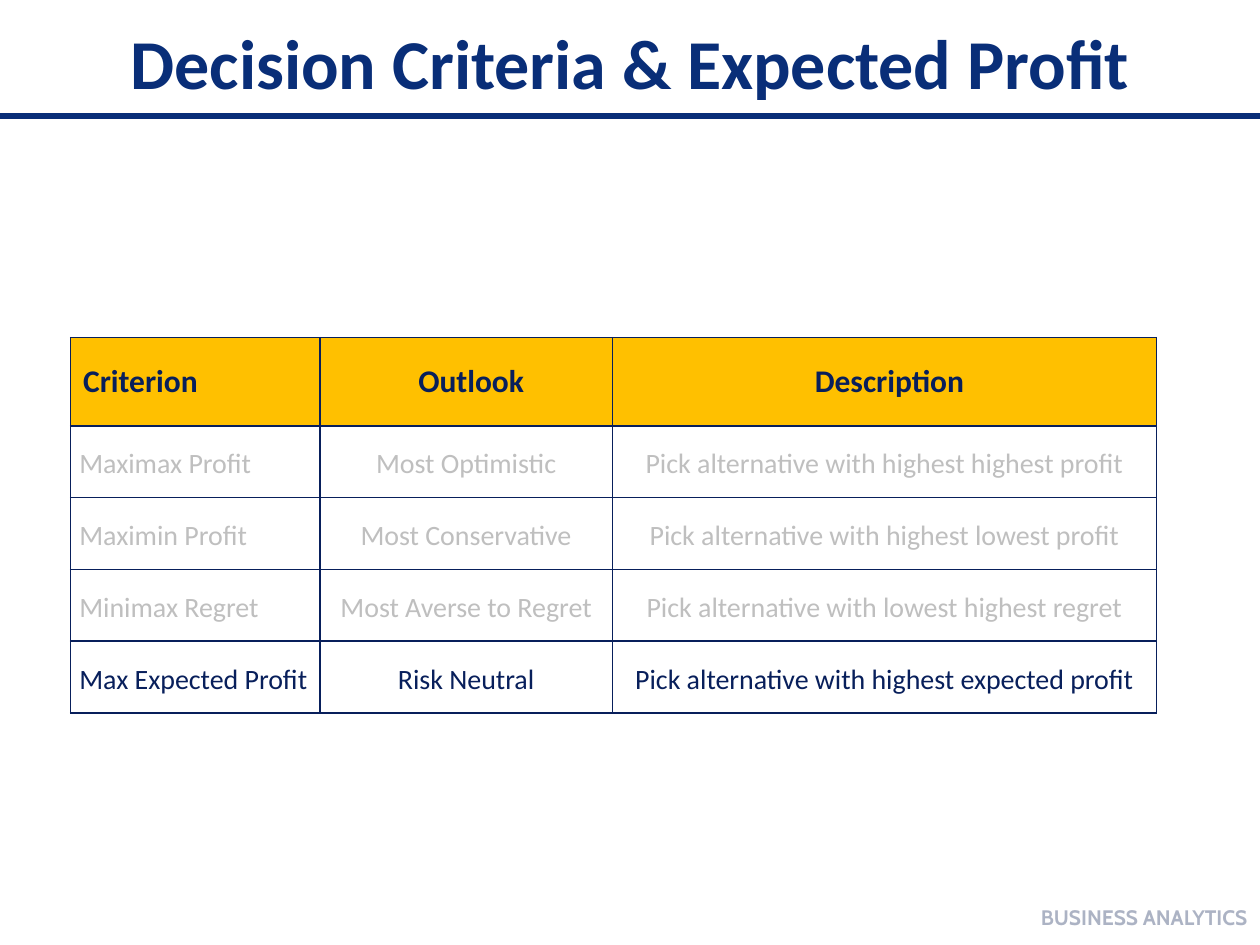
from lxml.etree import SubElement
from pptx import Presentation
from pptx.dml.color import RGBColor
from pptx.enum.shapes import MSO_CONNECTOR
from pptx.enum.text import MSO_ANCHOR, PP_ALIGN
from pptx.oxml.ns import qn
from pptx.util import Inches, Pt

COLORS = {"title": "092E78", "navy": "081F5B", "gold": "FFC000",
          "muted": "BFBFBF", "footer": "06194C"}
COLUMN_WIDTHS = [1.98, 2.32, 4.32]
HEADER = ["Criterion", "Outlook", "Description"]
MUTED_ROWS = [
    ["Maximax Profit", "Most Optimistic", "Pick alternative with highest highest profit"],
    ["Maximin Profit", "Most Conservative", "Pick alternative with highest lowest profit"],
    ["Minimax Regret", "Most Averse to Regret", "Pick alternative with lowest highest regret"],
]
CURRENT_ROW = ["Max Expected Profit", "Risk Neutral",
               "Pick alternative with highest expected profit"]


def add_text(paragraph, text, size, color, alignment, bold=False, font="Calibri"):
    paragraph.alignment = alignment
    run = paragraph.add_run()
    run.text = text
    run.font.name = font
    run.font.size = Pt(size)
    run.font.bold = bold
    run.font.color.rgb = RGBColor.from_string(COLORS[color])
    return run


def add_borders(cell):
    properties = cell._tc.get_or_add_tcPr()
    for side in ("a:lnL", "a:lnR", "a:lnT", "a:lnB"):
        line = SubElement(properties, qn(side), w=str(Pt(1)))
        fill = SubElement(line, qn("a:solidFill"))
        SubElement(fill, qn("a:srgbClr"), val=COLORS["navy"])


presentation = Presentation()
presentation.slide_width = Inches(10)
presentation.slide_height = Inches(7.5)
slide = presentation.slides.add_slide(presentation.slide_layouts[6])

# Rule under the title
rule = slide.shapes.add_connector(
    MSO_CONNECTOR.STRAIGHT, Inches(0), Inches(0.92), Inches(10), Inches(0.92))
rule.line.color.rgb = RGBColor.from_string(COLORS["title"])
rule.line.width = Pt(3)
SubElement(rule._element.spPr, qn("a:effectLst"))

# Footer and title
text_boxes = [
    ((6.67, 7.08, 3.33, 0.4), "BUSINESS ANALYTICS", 12, "footer", PP_ALIGN.RIGHT, "Cabin"),
    ((0.69, -0.24, 8.62, 1.45), "Decision Criteria & Expected Profit", 40, "title",
     PP_ALIGN.CENTER, "Calibri"),
]
for position, text, size, color, alignment, font in text_boxes:
    text_box = slide.shapes.add_textbox(*[Inches(length) for length in position])
    frame = text_box.text_frame
    frame.word_wrap = True
    frame.vertical_anchor = MSO_ANCHOR.MIDDLE
    run = add_text(frame.paragraphs[0], text, size, color, alignment, True, font)
    if color == "footer":
        footer_color = run._r.rPr.find(qn("a:solidFill"))[0]
        SubElement(footer_color, qn("a:alpha"), val="33000")

# Earlier criteria with the header, then the current criterion
tables = [(2.68, [HEADER] + MUTED_ROWS, "muted"), (5.09, [CURRENT_ROW], "navy")]
for top, rows, body_color in tables:
    heights = [0.7 if row is HEADER else 0.57 for row in rows]
    table = slide.shapes.add_table(
        len(rows), len(COLUMN_WIDTHS), Inches(0.56), Inches(top),
        Inches(sum(COLUMN_WIDTHS)), Inches(sum(heights))).table
    table.first_row = False
    table.horz_banding = False
    for column, width in zip(table.columns, COLUMN_WIDTHS):
        column.width = Inches(width)
    for row_index, row in enumerate(rows):
        table.rows[row_index].height = Inches(heights[row_index])
        is_header = row is HEADER
        for column_index, text in enumerate(row):
            cell = table.cell(row_index, column_index)
            cell.vertical_anchor = MSO_ANCHOR.MIDDLE
            cell.margin_left = Inches(0.1 if is_header else 0.07)
            cell.margin_right = Inches(0.02 if is_header else 0.07)
            cell.margin_top = cell.margin_bottom = Inches(0.05 if is_header else 0)
            add_borders(cell)
            paragraph = cell.text_frame.paragraphs[0]
            alignment = PP_ALIGN.CENTER if column_index else PP_ALIGN.LEFT
            if is_header:
                cell.fill.solid()
                cell.fill.fore_color.rgb = RGBColor.from_string(COLORS["gold"])
                add_text(paragraph, text, 18, "navy", alignment, True)
            else:
                cell.fill.background()
                paragraph.line_spacing = 1.15
                add_text(paragraph, text, 16, body_color, alignment)

presentation.save("out.pptx")
